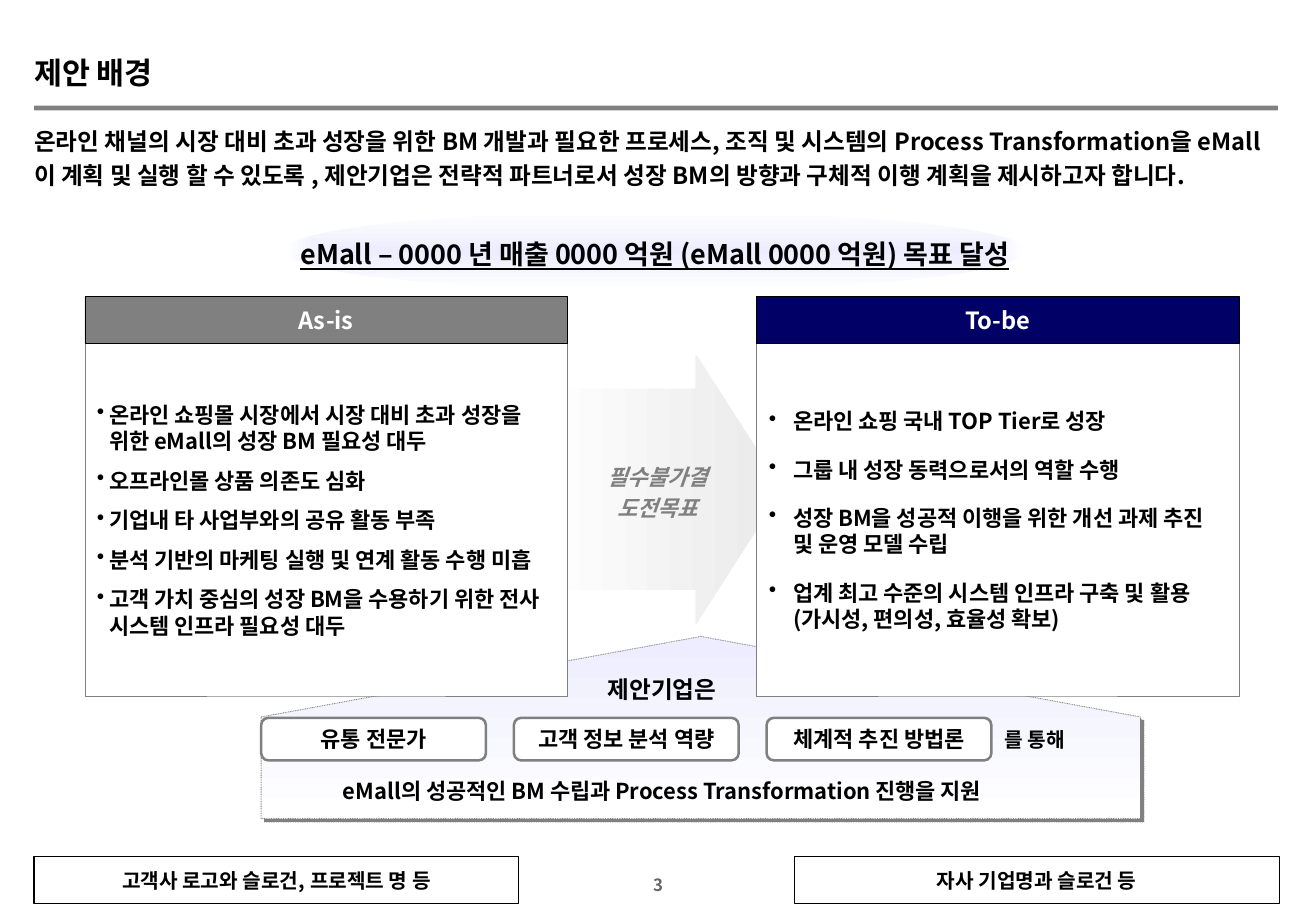
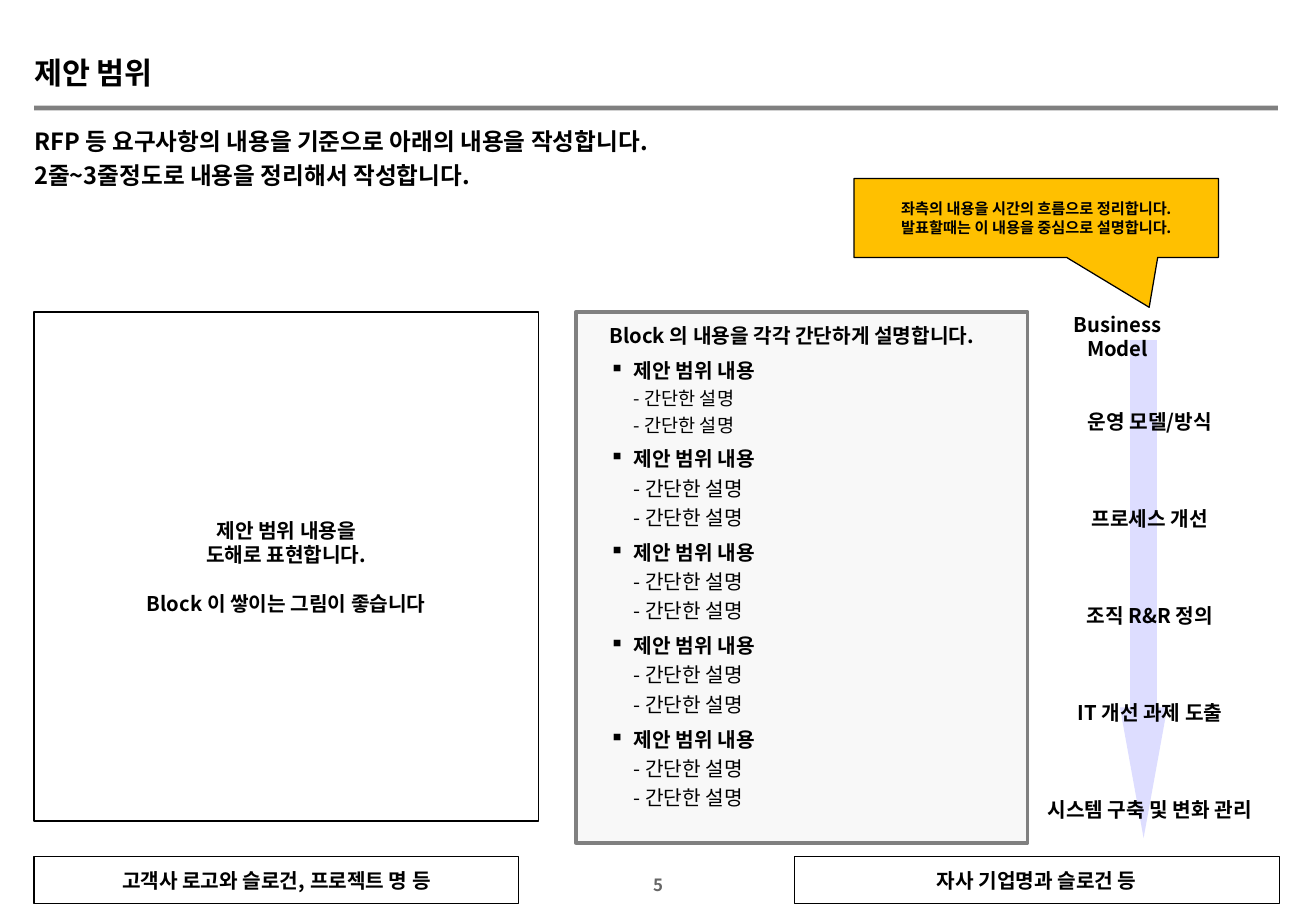
from copy import deepcopy

from lxml.etree import SubElement
from pptx import Presentation
from pptx.dml.color import RGBColor
from pptx.enum.dml import MSO_LINE
from pptx.enum.shapes import MSO_SHAPE as SHAPE
from pptx.enum.text import MSO_ANCHOR as ANCHOR, MSO_AUTO_SIZE as FIT, PP_ALIGN as ALIGN
from pptx.oxml import parse_xml
from pptx.oxml.ns import nsdecls, qn
from pptx.util import Pt

BLACK = RGBColor(0x00, 0x00, 0x00)
WHITE = RGBColor(0xFF, 0xFF, 0xFF)
GRAY = RGBColor(0x80, 0x80, 0x80)
PAGE_GRAY = RGBColor(0x66, 0x66, 0x66)
PALE_GRAY = RGBColor(0xF2, 0xF2, 0xF2)
ARROW_GRAY = RGBColor(0xEA, 0xEA, 0xEA)
NAVY = RGBColor(0x00, 0x00, 0x66)
LILAC = RGBColor(0xED, 0xED, 0xFF)
LAVENDER = RGBColor(0xCC, 0xCC, 0xFF)
AMBER = RGBColor(0xFF, 0xC0, 0x00)

FONT = "Noto Sans CJK KR"
MARGIN, CONTENT_WIDTH = 20.2, 737.3
CENTERED = {"alignment": ALIGN.CENTER}


def bold(size, **extra):
    return {"name": FONT, "size": Pt(size), "bold": True, **extra}


class ProposalDeck:
    """Holds the proposal's style and the slide being built."""

    def __init__(self):
        self.deck = Presentation()
        self.deck.slide_width, self.deck.slide_height = Pt(780), Pt(540)
        self.slide = None

    def start(self, title, summary, summary_height, page):
        self.slide = self.deck.slides.add_slide(self.deck.slide_layouts[6])
        self.label((384, 518.4, 12, 12), [page], bold(10), CENTERED,
                   color=PAGE_GRAY, anchor=ANCHOR.MIDDLE, wrap=False)
        self.block(SHAPE.RECTANGLE, (MARGIN, 62.6, CONTENT_WIDTH, 2.9), GRAY)
        for left, owner in ((MARGIN, "고객사 로고와 슬로건, 프로젝트 명 등"),
                            (470.9, "자사 기업명과 슬로건 등")):
            footer = self.block(SHAPE.RECTANGLE, (left, 507.6, 287.3, 28.1), WHITE, BLACK, 0.75)
            self.set_text(footer, [owner], bold(12), CENTERED)
        self.label((MARGIN, 34.6, 97.2, 19.4), [title], bold(18),
                   {"line_spacing": 0.9}, anchor=ANCHOR.MIDDLE)
        self.label((MARGIN, 72, CONTENT_WIDTH, summary_height), summary, bold(14),
                   {"line_spacing": 1.2})

    def block(self, kind, box, fill=None, line=None, weight=0.5, adjust=()):
        shape = self.slide.shapes.add_shape(kind, *map(Pt, box))
        shape.shadow.inherit = False
        for index, value in enumerate(adjust):
            shape.adjustments[index] = value
        if fill is not None:
            shape.fill.solid()
            shape.fill.fore_color.rgb = fill
        if line is None:
            shape.line.fill.background()
        else:
            shape.line.color.rgb = line
            shape.line.width = Pt(weight)
        return shape

    def gradient(self, shape, start, end, angle=0, radial=False):
        shape.fill.gradient()
        for stop, color in zip(shape.fill.gradient_stops, (start, end)):
            stop.color.rgb = color
        shape.fill.gradient_angle = angle
        if radial:
            direction = next(shape._element.iter(qn("a:lin")))
            direction.getparent().replace(direction, parse_xml(
                f'<a:path {nsdecls("a")} path="shape"><a:fillToRect l="50000" t="50000" '
                'r="50000" b="50000"/></a:path>'))

    def fade(self, shape, percent):
        color = shape._element.spPr.find(qn("a:solidFill"))[0]
        SubElement(color, qn("a:alpha"), val=str(percent * 1000))

    def cast_shadow(self, shape):
        effects = shape._element.spPr.find(qn("a:effectLst"))
        effects.append(parse_xml(
            f'<a:outerShdw {nsdecls("a")} blurRad="0" dist="{Pt(2.8)}" dir="2700000" '
            f'algn="ctr" rotWithShape="0"><a:srgbClr val="{GRAY}"/></a:outerShdw>'))

    def label(self, box, paragraphs, font, layout=None, fit=False, **options):
        shape = self.slide.shapes.add_textbox(*map(Pt, box))
        options.setdefault("anchor", ANCHOR.TOP)
        self.set_text(shape, paragraphs, font, layout or {}, **options)
        if fit:
            shape.text_frame.auto_size = FIT.SHAPE_TO_FIT_TEXT

    def set_text(self, shape, paragraphs, font, layout, color=BLACK, inset=(0, 0),
                 anchor=ANCHOR.MIDDLE, wrap=True, bullet=None, indent=0, plain_first=False):
        frame = shape.text_frame
        across, down = map(Pt, inset)
        settings = {"word_wrap": wrap, "vertical_anchor": anchor,
                    "margin_left": across, "margin_right": across,
                    "margin_top": down, "margin_bottom": down}
        for name, value in settings.items():
            setattr(frame, name, value)
        for index, content in enumerate(paragraphs):
            paragraph = frame.add_paragraph() if index else frame.paragraphs[0]
            if bullet and (index or not plain_first):
                self.add_bullet(paragraph, bullet, indent)
            for name, value in {"alignment": ALIGN.LEFT, **layout}.items():
                if index or name != "space_before":
                    setattr(paragraph, name, value)
            runs = [(content, {})] if isinstance(content, str) else content
            for text, changes in runs:
                self.add_text(paragraph, text, {**font, **changes}, color)

    def add_bullet(self, paragraph, mark, indent):
        properties = paragraph._p.get_or_add_pPr()
        properties.set("marL", str(Pt(indent)))
        properties.set("indent", str(-Pt(indent)))
        SubElement(SubElement(properties, qn("a:buClr")), qn("a:srgbClr"), val=str(BLACK))
        SubElement(properties, qn("a:buChar"), char=mark)

    def add_text(self, paragraph, text, font, color):
        for index, line in enumerate(text.split("\n")):
            if index:
                paragraph.add_line_break()
                paragraph._p[-1].append(deepcopy(run._r.rPr))
            if line:
                run = paragraph.add_run()
                run.text = line
                for name, value in font.items():
                    setattr(run.font, name, value)
                run.font.color.rgb = color
                SubElement(run._r.rPr, qn("a:ea"), typeface=FONT)


def build_background(deck):
    deck.start("제안 배경", [
        "온라인 채널의 시장 대비 초과 성장을 위한 BM 개발과 필요한 프로세스, 조직 및 시스템의 "
        "Process Transformation을 eMall이 계획 및 실행 할 수 있도록 , 제안기업은 전략적 파트너로서 "
        "성장 BM의 방향과 구체적 이행 계획을 제시하고자 합니다."], 38.9, "3")

    support = deck.block(SHAPE.UP_ARROW, (154.8, 377.3, 521.3, 108), line=GRAY, adjust=(1, 0.442))
    deck.gradient(support, LILAC, WHITE, 270)
    support.line.dash_style = MSO_LINE.ROUND_DOT
    deck.cast_shadow(support)

    challenge = deck.block(SHAPE.RIGHT_ARROW, (316.8, 210.2, 146.9, 159.8), adjust=(0.746, 0.348))
    deck.gradient(challenge, WHITE, ARROW_GRAY)

    goal = deck.block(SHAPE.OVAL, (168.5, 125.3, 439.2, 46.8))
    deck.gradient(goal, LILAC, WHITE, radial=True)
    deck.set_text(goal, ["eMall – 0000 년 매출 0000 억원 (eMall 0000 억원) 목표 달성"],
                  bold(16, underline=True), {**CENTERED, "line_spacing": 1.2},
                  inset=(7.2, 3.6), wrap=False)

    states = (
        ("As-is", 50.4, GRAY, 7.2, 7.8, [
            "온라인 쇼핑몰 시장에서 시장 대비 초과 성장을 위한 eMall의 성장 BM 필요성 대두",
            "오프라인몰 상품 의존도 심화",
            "기업내 타 사업부와의 공유 활동 부족",
            "분석 기반의 마케팅 실행 및 연계 활동 수행 미흡",
            "고객 가치 중심의 성장 BM을 수용하기 위한 전사 시스템 인프라 필요성 대두"]),
        ("To-be", 448.6, NAVY, 14.4, 13, [
            "온라인 쇼핑 국내 TOP Tier로 성장",
            "그룹 내 성장 동력으로서의 역할 수행",
            "성장 BM을 성공적 이행을 위한 개선 과제 추진 및 운영 모델 수립",
            "업계 최고 수준의 시스템 인프라 구축 및 활용 (가시성, 편의성, 효율성 확보)"]),
    )
    for state, left, color, indent, gap, points in states:
        details = deck.block(SHAPE.RECTANGLE, (left, 203.8, 285.8, 208.8), WHITE, GRAY)
        deck.set_text(details, points, bold(13), {"space_before": Pt(gap)},
                      inset=(7.2, 3.6), bullet="•", indent=indent)
        header = deck.block(SHAPE.RECTANGLE, (left, 175.7, 285.8, 28.1), color, BLACK)
        deck.set_text(header, [state], bold(14), CENTERED, color=WHITE, inset=(4.3, 3.6))

    deck.label((357.1, 272.2, 65.5, 36), ["필수불가결", "도전목표"], bold(13, italic=True),
               {**CENTERED, "line_spacing": 1.2}, fit=True, color=GRAY,
               anchor=ANCHOR.MIDDLE, wrap=False)
    deck.label((357.1, 400.3, 70.6, 17.3), ["제안기업은"], bold(14), CENTERED, fit=True, wrap=False)
    deck.label((165.6, 460.8, 453.6, 15.8),
               ["eMall의 성공적인 BM 수립과 Process Transformation 진행을 지원"],
               bold(13), CENTERED, fit=True)
    deck.label((595.4, 431.3, 40.3, 14.4), ["를 통해"], bold(12), fit=True, wrap=False)

    for index, strength in enumerate(("유통 전문가", "고객 정보 분석 역량", "체계적 추진 방법론")):
        pill = deck.block(SHAPE.ROUNDED_RECTANGLE, (154.8 + 149.8 * index, 425.5, 133.2, 25.2),
                          WHITE, GRAY, 1.5)
        deck.set_text(pill, [strength], bold(13), CENTERED, inset=(7.2, 3.6), wrap=False)


def build_scope(deck):
    deck.start("제안 범위", ["RFP 등 요구사항의 내용을 기준으로 아래의 내용을 작성합니다.",
                         "2줄~3줄정도로 내용을 정리해서 작성합니다."], 80.6, "5")

    panel = deck.block(SHAPE.RECTANGLE, (341.3, 185, 267.8, 314.6), PALE_GRAY, GRAY, 2.25)
    deck.fade(panel, 50)
    scopes = [[("제안 범위 내용\n", {}),
               ("- 간단한 설명\n- 간단한 설명", {"bold": False, "size": Pt(size)})]
              for size in (11, 12, 12, 12, 12)]
    deck.label((354.2, 185, 251.3, 303.8), ["Block 의 내용을 각각 간단하게 설명합니다.", *scopes],
               bold(12), {"line_spacing": 1.2, "space_before": Pt(3.6)}, fit=True,
               inset=(7.2, 3.6), bullet="▪", indent=14.4, plain_first=True)

    diagram = deck.block(SHAPE.RECTANGLE, (MARGIN, 185, 298.8, 301.7), WHITE, BLACK, 0.75)
    deck.set_text(diagram, ["제안 범위 내용을", "도해로 표현합니다.", "Block 이 쌓이는 그림이 좋습니다"],
                  bold(12), CENTERED)
    diagram.text_frame.paragraphs[-1].space_before = Pt(14.4)

    timeline = deck.block(SHAPE.DOWN_ARROW, (663.8, 201.6, 28.1, 295.2), LAVENDER,
                          adjust=(0.566, 2.758))
    deck.fade(timeline, 65)
    first_top, pitch, center = 185, 57.5, 681.6
    deck.label((635.4, first_top, 54, 28.8), ["Business Model"], bold(12), CENTERED)
    steps = (("운영 모델/방식", 82), ("프로세스 개선", 77), ("조직 R&R 정의", 83.5),
             ("IT 개선 과제 도출", 96.5), ("시스템 구축 및 변화 관리", 138))
    for index, (step, width) in enumerate(steps, 1):
        deck.label((center - width / 2, first_top + pitch * index, width, 14.4), [step],
                   bold(12), CENTERED, fit=True, wrap=False)

    advice = deck.block(SHAPE.RECTANGULAR_CALLOUT, (506.2, 105.8, 216, 46.8), AMBER, BLACK, 0.75,
                        (0.31, 1.132))
    deck.set_text(advice, ["좌측의 내용을 시간의 흐름으로 정리합니다.",
                           "발표할때는 이 내용을 중심으로 설명합니다."], bold(9), CENTERED)


def main():
    proposal = ProposalDeck()
    build_background(proposal)
    build_scope(proposal)
    proposal.deck.save("out.pptx")


if __name__ == "__main__":
    main()
